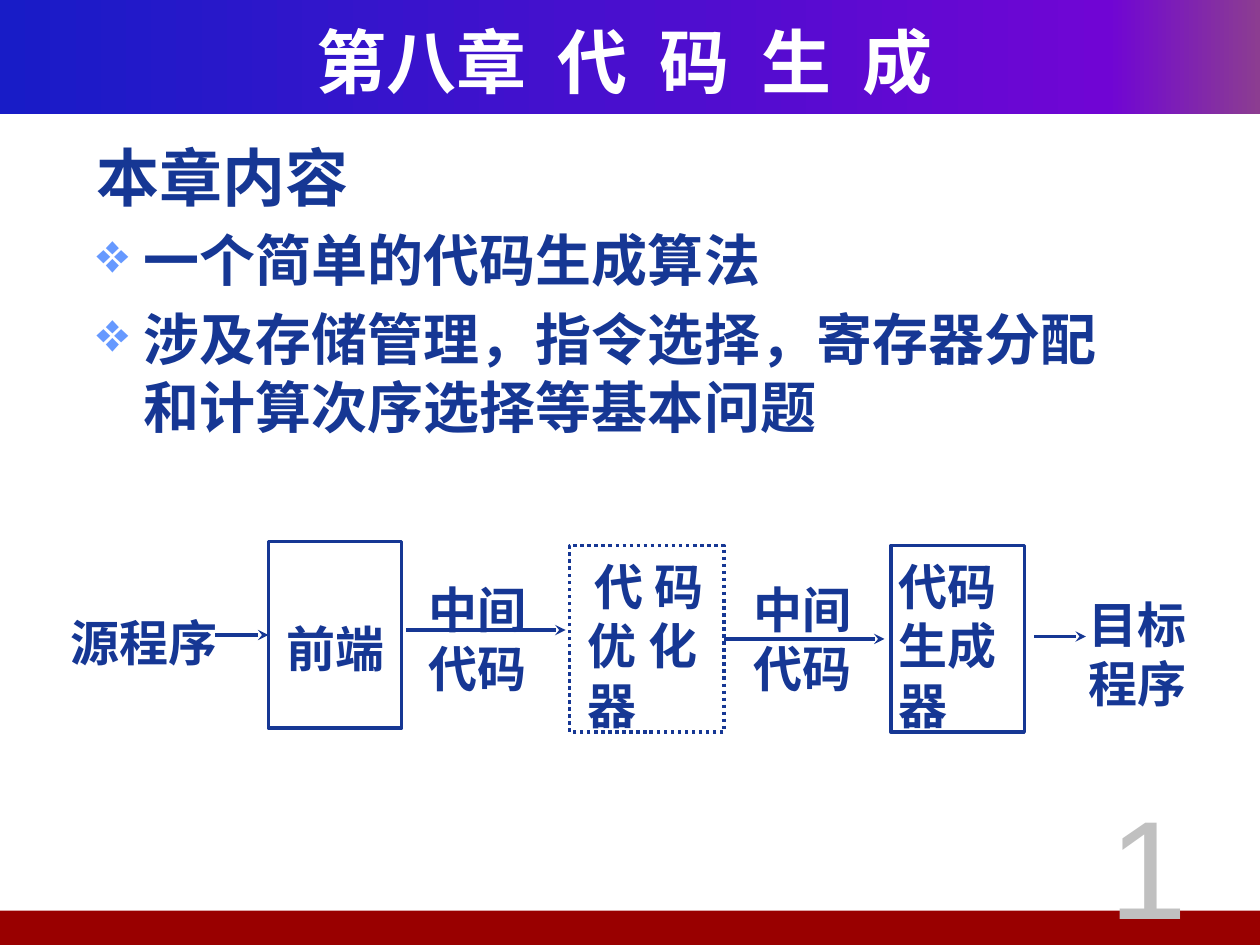
from copy import deepcopy
from lxml import etree
from pptx import Presentation
from pptx import util as u
from pptx.dml.color import RGBColor
from pptx.enum import dml, shapes, text
from pptx.oxml import ns

Cm, Pt = u.Cm, u.Pt
Kind, Align, Mid = shapes.MSO_SHAPE, text.PP_ALIGN, text.MSO_ANCHOR.MIDDLE
inks = {"navy": "163794", "white": "FFFFFF", "gray": "C0C0C0", "red": "990000",
        "mark": "6699FF", "blue": "181CC7", "violet": "7005D4", "plum": "8C3D91"}
hues = {name: RGBColor.from_string(code) for name, code in inks.items()}
hans = "Noto Sans CJK SC"


def style(para, size, face, hue="navy", bold=True):
    font = para.font
    font.size, font.name, font.bold = Pt(size), face, bold
    font.color.rgb = hues[hue]
    etree.SubElement(font._rPr, ns.qn("a:ea"), typeface=hans)


def write(shape, lines, pads, aligns):
    frame = shape.text_frame
    frame.word_wrap = True
    frame.margin_left, frame.margin_top, frame.margin_right, frame.margin_bottom = map(Cm, pads)
    frame.text = "\n".join(lines)
    for para, align in zip(frame.paragraphs, aligns):
        para.alignment = align
        para.line_spacing = Pt(34)
        style(para, 28, "Times New Roman")
    return frame


deck = Presentation()
deck.slide_width, deck.slide_height = Cm(25.4), Cm(19.05)
slide = deck.slides.add_slide(deck.slide_layouts[6])
items = slide.shapes

band = items.add_shape(Kind.RECTANGLE, 0, 0, Cm(25.4), Cm(2.31))
band.fill.gradient()
band.fill.gradient_angle = 0
stops = band.element.xpath(".//a:gsLst")[0]
stops.append(deepcopy(stops[-1]))
for stop, (hue, place) in zip(band.fill.gradient_stops,
                              [("blue", 0), ("violet", 0.88), ("plum", 1)]):
    stop.color.rgb = hues[hue]
    stop.position = place
foot = items.add_shape(Kind.RECTANGLE, Cm(-0.1), Cm(18.36), Cm(25.5), Cm(0.69))
foot.fill.solid()
foot.fill.fore_color.rgb = hues["red"]
for bar in (band, foot):
    bar.line.fill.background()
    bar.shadow.inherit = False

title = items.add_textbox(Cm(0.84), Cm(0.43), Cm(23.5), Cm(1.57)).text_frame
title.word_wrap = True
title.vertical_anchor = Mid
title.text = "第八章  代  码  生  成"
title.paragraphs[0].alignment = Align.CENTER
style(title.paragraphs[0], 40, hans, "white")

body = items.add_textbox(Cm(1.7), Cm(2.51), Cm(21.59), Cm(7.62)).text_frame
body.word_wrap = True
body.margin_top = Cm(0.25)
body.text = "\n".join(["本章内容", "一个简单的代码生成算法",
                       "涉及存储管理，指令选择，寄存器分配和计算次序选择等基本问题"])
for rank, para in enumerate(body.paragraphs):
    para.line_spacing = Pt(39 if rank else 44)
    prop = para._p.get_or_add_pPr()
    prop.set("marL", str(Cm(0.95)))
    prop.set("indent", str(Cm(-0.95)))
    if rank:
        para.space_before = Pt(6)
        tint = etree.SubElement(prop, ns.qn("a:buClr"))
        etree.SubElement(tint, ns.qn("a:srgbClr"), val=inks["mark"])
        etree.SubElement(prop, ns.qn("a:buChar"), char="❖")
    style(para, 32 if rank else 36, hans)

page = items.add_textbox(Cm(20.9), Cm(15.6), Cm(4.5), Cm(3.61)).text_frame
page.text = "1"
page.paragraphs[0].alignment = Align.CENTER
style(page.paragraphs[0], 80, "Arial", "gray", False)

just = [Align.JUSTIFY] * 3
tight = (0.15, 0.2, 0.05, 0.03)
boxes = []
for left, top, width, lines, pads, aligns in [
    (5.41, 10.92, 2.69, ["前端"], (0.25, 0.65, 0.25, 0.13), [Align.CENTER]),
    (11.48, 11, 3.12, ["代 码", " 优 化", " 器"], tight, [Align.CENTER] + just[1:]),
    (17.96, 11, 2.69, ["代码", "生成", "器"], tight, just),
]:
    box = items.add_shape(Kind.RECTANGLE, Cm(left), Cm(top), Cm(width), Cm(3.76))
    box.shadow.inherit = False
    box.fill.background()
    box.line.color.rgb = hues["navy"]
    box.line.width = Pt(2)
    frame = write(box, lines, pads, aligns)
    frame.vertical_anchor = text.MSO_ANCHOR.TOP
    boxes.append(box)
front, tuner, maker = boxes
front.text_frame.vertical_anchor = Mid
tuner.line.dash_style = dml.MSO_LINE.ROUND_DOT

for left, top, width, height, lines in [
    (1.37, 12.22, 3.38, 1.88, ["源程序"]),
    (8.59, 11.56, 3.1, 2.16, ["中间", "代码"]),
    (15.14, 11.56, 3.1, 2.16, ["中间", "代码"]),
    (21.89, 11.86, 2.39, 2.16, ["目标", "程序"]),
]:
    label = items.add_textbox(Cm(left), Cm(top), Cm(width), Cm(height))
    write(label, lines, (0.05, 0.11, 0.25, 0.13), just)

for start, end, level, tail, head in [
    (4.34, 5.41, 12.8, None, front),
    (8.18, 11.4, 12.7, None, None),
    (14.6, 17.83, 12.88, tuner, None),
    (20.85, 21.89, 12.83, None, None),
]:
    arrow = items.add_connector(shapes.MSO_CONNECTOR.STRAIGHT,
                                Cm(start), Cm(level), Cm(end), Cm(level))
    if tail:
        arrow.begin_connect(tail, 3)
    if head:
        arrow.end_connect(head, 1)
    arrow.line.color.rgb = hues["navy"]
    arrow.line.width = Pt(2)
    etree.SubElement(arrow.line._get_or_add_ln(), ns.qn("a:tailEnd"), type="stealth")
    etree.SubElement(arrow.element.spPr, ns.qn("a:effectLst"))

deck.save("out.pptx")
